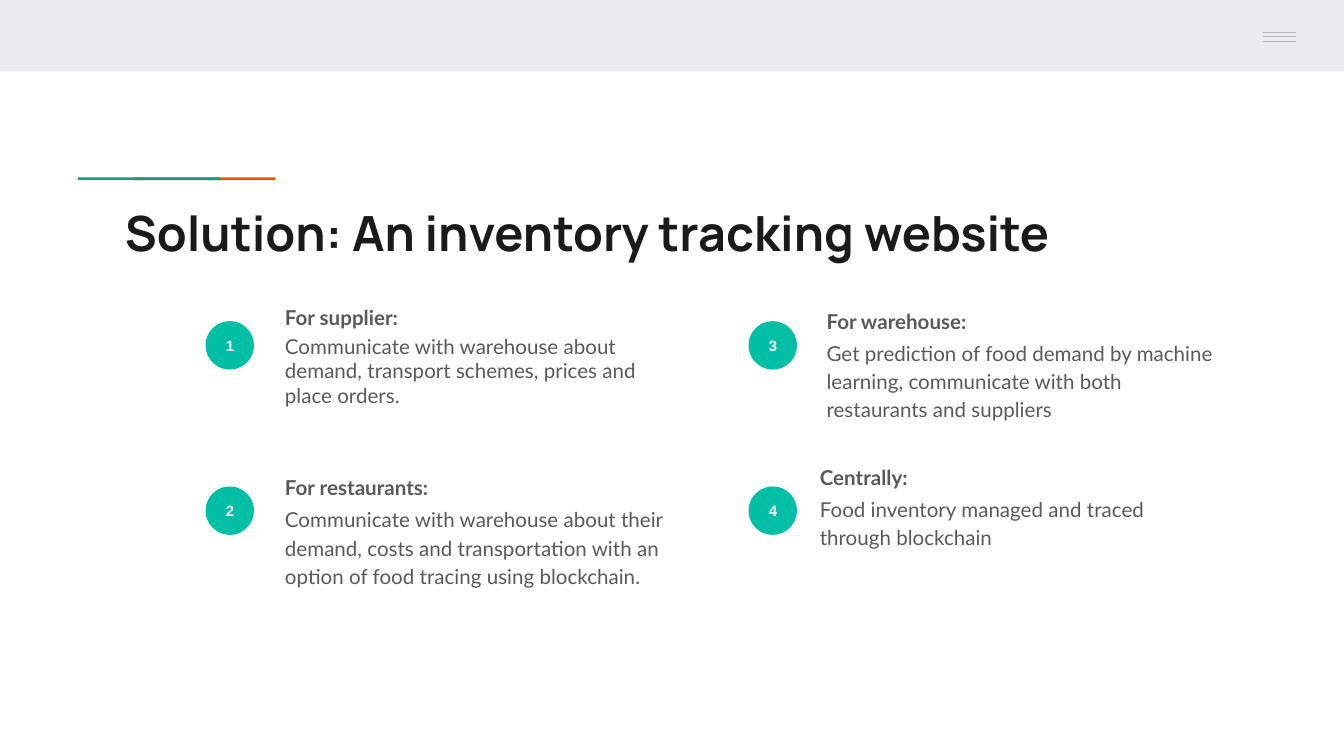
import pptx
import pptx.dml.color
import pptx.enum.shapes
import pptx.enum.text
import pptx.oxml.ns
import pptx.util
import lxml.etree

Inches = pptx.util.Inches
Shapes = pptx.enum.shapes.MSO_SHAPE
Align = pptx.enum.text.PP_ALIGN
Anchor = pptx.enum.text.MSO_ANCHOR

theme = {
    "bar": "E9EDEE", "menu": "B7B7B7", "orange": "EB5600", "teal": "1A9988", "badge": "00BFA5",
    "title": {"name": "Manrope", "size": 26, "bold": True, "color": "1A1A1A"},
    "number": {"name": "Arial", "size": 8, "bold": True, "color": "FFFFFF"},
    "heading": {"name": "Lato", "size": 11, "bold": True, "color": "595959"},
    "body": {"name": "Lato", "size": 11, "bold": False, "color": "595959"},
}


def add_block(slide, kind, box, color):
    shape = slide.shapes.add_shape(kind, *[Inches(value) for value in box])
    shape.shadow.inherit = False
    shape.fill.solid()
    shape.fill.fore_color.rgb = pptx.dml.color.RGBColor.from_string(color)
    shape.line.fill.background()
    return shape


def write(shape, anchor, paragraphs):
    frame = shape.text_frame
    margins = {f"margin_{side}": Inches(0.1) for side in ("left", "top", "right", "bottom")}
    frame_format = {"word_wrap": True, "auto_size": pptx.enum.text.MSO_AUTO_SIZE.NONE,
                    "vertical_anchor": anchor, **margins}
    for name, value in frame_format.items():
        setattr(frame, name, value)
    for index, (text, style, layout) in enumerate(paragraphs):
        paragraph = frame.paragraphs[0] if index == 0 else frame.add_paragraph()
        paragraph.text = text
        properties = paragraph._p.get_or_add_pPr()
        properties.set("marL", "0")
        properties.set("indent", "0")
        lxml.etree.SubElement(properties, pptx.oxml.ns.qn("a:buNone"))
        paragraph_format = {"alignment": Align.LEFT, "line_spacing": 1.0,
                            "space_before": pptx.util.Pt(0), "space_after": pptx.util.Pt(0), **layout}
        for name, value in paragraph_format.items():
            setattr(paragraph, name, value)
        font = paragraph.runs[0].font
        font.name, font.bold = theme[style]["name"], theme[style]["bold"]
        font.size = pptx.util.Pt(theme[style]["size"])
        font.color.rgb = pptx.dml.color.RGBColor.from_string(theme[style]["color"])


presentation = pptx.Presentation()
presentation.slide_width = Inches(10)
presentation.slide_height = presentation.slide_width * 9 // 16
slide = presentation.slides.add_slide(presentation.slide_layouts.get_by_name("Comparison"))

add_block(slide, Shapes.RECTANGLE, (0, 0, 10, 0.53), theme["bar"])
for left, color in ((0.99, "orange"), (0.58, "teal")):
    add_block(slide, Shapes.RECTANGLE, (left, 1.32, 1.06, 0.02), theme[color])

for height in (0.24, 0.27, 0.31):
    line = slide.shapes.add_connector(pptx.enum.shapes.MSO_CONNECTOR.STRAIGHT,
                                      Inches(9.4), Inches(height), Inches(9.64), Inches(height))
    line.line.color.rgb = pptx.dml.color.RGBColor.from_string(theme["menu"])
    line.line.width = pptx.util.Pt(0.75)
    lxml.etree.SubElement(line._element.spPr, pptx.oxml.ns.qn("a:effectLst"))

title, *bodies = slide.placeholders
title.left, title.top, title.width, title.height = [Inches(value) for value in (0.83, 1.41, 8.41, 0.59)]
write(title, Anchor.TOP, [("Solution: An inventory tracking website", "title", {})])

grid = {"left": 1.53, "top": 2.39, "column": 4.04, "row": 1.23}
audiences = [
    ("For supplier:",
     "Communicate with warehouse about demand, transport schemes, prices and place orders.",
     1.0, 2, (0, 0)),
    ("For restaurants:",
     "Communicate with warehouse about their demand, costs and transportation with an option "
     "of food tracing using blockchain.",
     1.15, 2, (0, 0.01)),
    ("For warehouse:",
     "Get prediction of food demand by machine learning, communicate with both restaurants and suppliers",
     1.15, 2, (-0.01, 0)),
    ("Centrally:",
     "Food inventory managed and traced through blockchain",
     1.15, 16, (-0.06, -0.07)),
]
for index, (body, audience) in enumerate(zip(bodies, audiences)):
    heading, description, spacing, after, nudge = audience
    column, row = divmod(index, 2)
    left = grid["left"] + column * grid["column"]
    top = grid["top"] + row * grid["row"]
    badge = add_block(slide, Shapes.OVAL, (left, top, 0.36, 0.36), theme["badge"])
    write(badge, Anchor.MIDDLE, [(str(index + 1), "number", {"alignment": Align.CENTER})])
    body.left, body.top = Inches(left + 0.49 + nudge[0]), Inches(top - 0.22 + nudge[1])
    body.width, body.height = Inches(3.1), Inches(1.15)
    write(body, Anchor.TOP, [
        (heading, "heading", {"line_spacing": spacing}),
        (description, "body", {"line_spacing": spacing, "space_before": pptx.util.Pt(2),
                               "space_after": pptx.util.Pt(after)}),
    ])

presentation.save("out.pptx")
